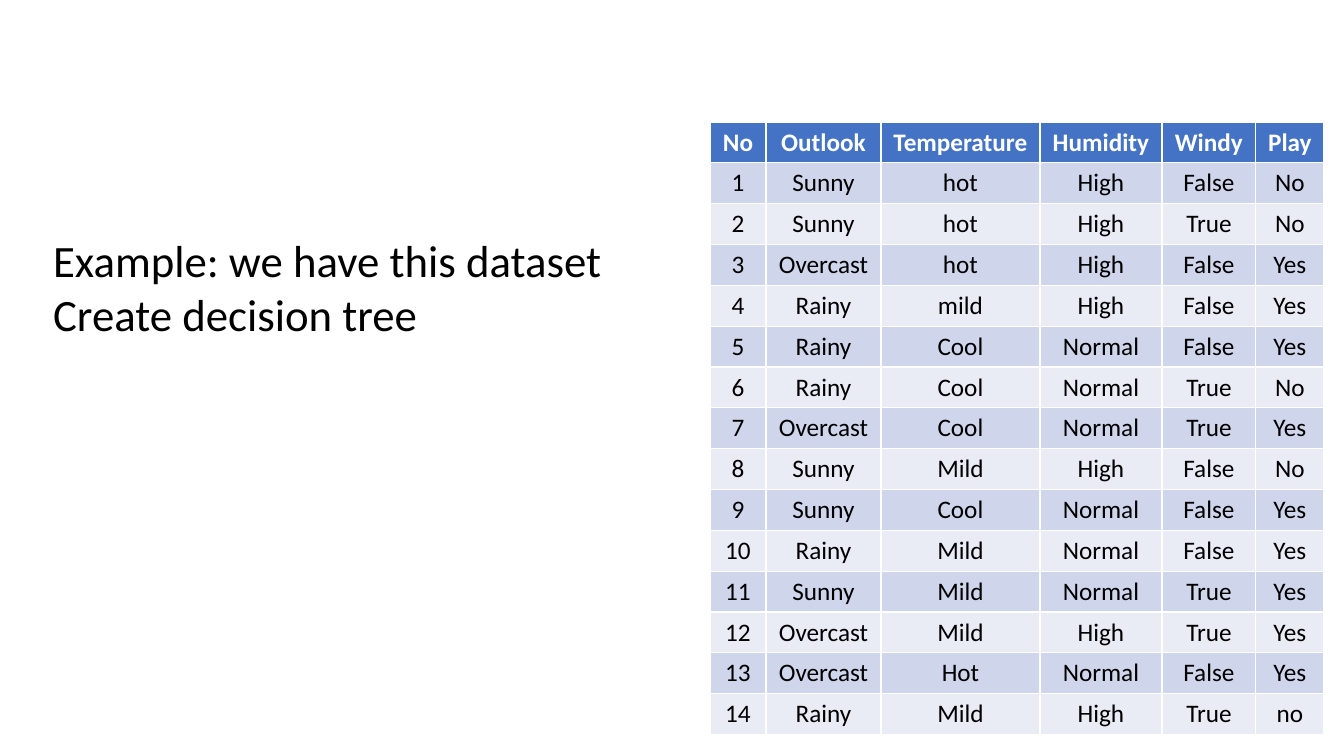
import pptx
import pptx.util
import pptx.dml.color
import pptx.enum.text

COLORS = {
    "header": "4472C4",
    "odd": "CFD5EA",
    "even": "E9EBF5",
    "light": "FFFFFF",
    "dark": "000000",
}
FONT = "Calibri"
EMU_PER_PX = 914400 / 100.8


def px(length):
    return pptx.util.Emu(round(length * EMU_PER_PX))


def format_span(span, size, color, bold):
    span.font.name = FONT
    span.font.size = pptx.util.Pt(size)
    span.font.bold = bold
    span.font.color.rgb = pptx.dml.color.RGBColor.from_string(COLORS[color])


deck = pptx.Presentation()
deck.slide_width = px(1344)
deck.slide_height = px(756)
page = deck.slides.add_slide(deck.slide_layouts[5])

headings = ["No", "Outlook", "Temperature", "Humidity", "Windy", "Play"]
observations = [
    ["Sunny", "hot", "High", "False", "No"],
    ["Sunny", "hot", "High", "True", "No"],
    ["Overcast", "hot", "High", "False", "Yes"],
    ["Rainy", "mild", "High", "False", "Yes"],
    ["Rainy", "Cool", "Normal", "False", "Yes"],
    ["Rainy", "Cool", "Normal", "True", "No"],
    ["Overcast", "Cool", "Normal", "True", "Yes"],
    ["Sunny", "Mild", "High", "False", "No"],
    ["Sunny", "Cool", "Normal", "False", "Yes"],
    ["Rainy", "Mild", "Normal", "False", "Yes"],
    ["Sunny", "Mild", "Normal", "True", "Yes"],
    ["Overcast", "Mild", "High", "True", "Yes"],
    ["Overcast", "Hot", "Normal", "False", "Yes"],
    ["Rainy", "Mild", "High", "True", "no"],
]
rows = [headings]
for number, observation in enumerate(observations, start=1):
    rows.append([str(number)] + observation)

column_widths = [56, 115, 159, 122, 94, 68]
table_height = 613
table = page.shapes.add_table(
    len(rows), len(headings),
    px(710), px(122), px(sum(column_widths)), px(table_height),
).table
for column, width in zip(table.columns, column_widths):
    column.width = px(width)

for row_index, values in enumerate(rows):
    table.rows[row_index].height = px(table_height / len(rows))
    is_header = row_index == 0
    fill = "header" if is_header else "odd" if row_index % 2 else "even"
    for column_index, value in enumerate(values):
        cell = table.cell(row_index, column_index)
        cell.fill.solid()
        cell.fill.fore_color.rgb = pptx.dml.color.RGBColor.from_string(COLORS[fill])
        para = cell.text_frame.paragraphs[0]
        para.text = value
        para.alignment = pptx.enum.text.PP_ALIGN.CENTER
        format_span(para.runs[0], 18, "light" if is_header else "dark", is_header)

title = page.shapes.title
title.left, title.top, title.width, title.height = px(43), px(228), px(579), px(119)
frame = title.text_frame
frame.text = "Example: we have this dataset Create decision tree"
frame.word_wrap = True
frame.auto_size = pptx.enum.text.MSO_AUTO_SIZE.SHAPE_TO_FIT_TEXT
frame.vertical_anchor = pptx.enum.text.MSO_ANCHOR.TOP
para = frame.paragraphs[0]
para.alignment = pptx.enum.text.PP_ALIGN.LEFT
format_span(para.runs[0], 32, "dark", False)

deck.save("out.pptx")
